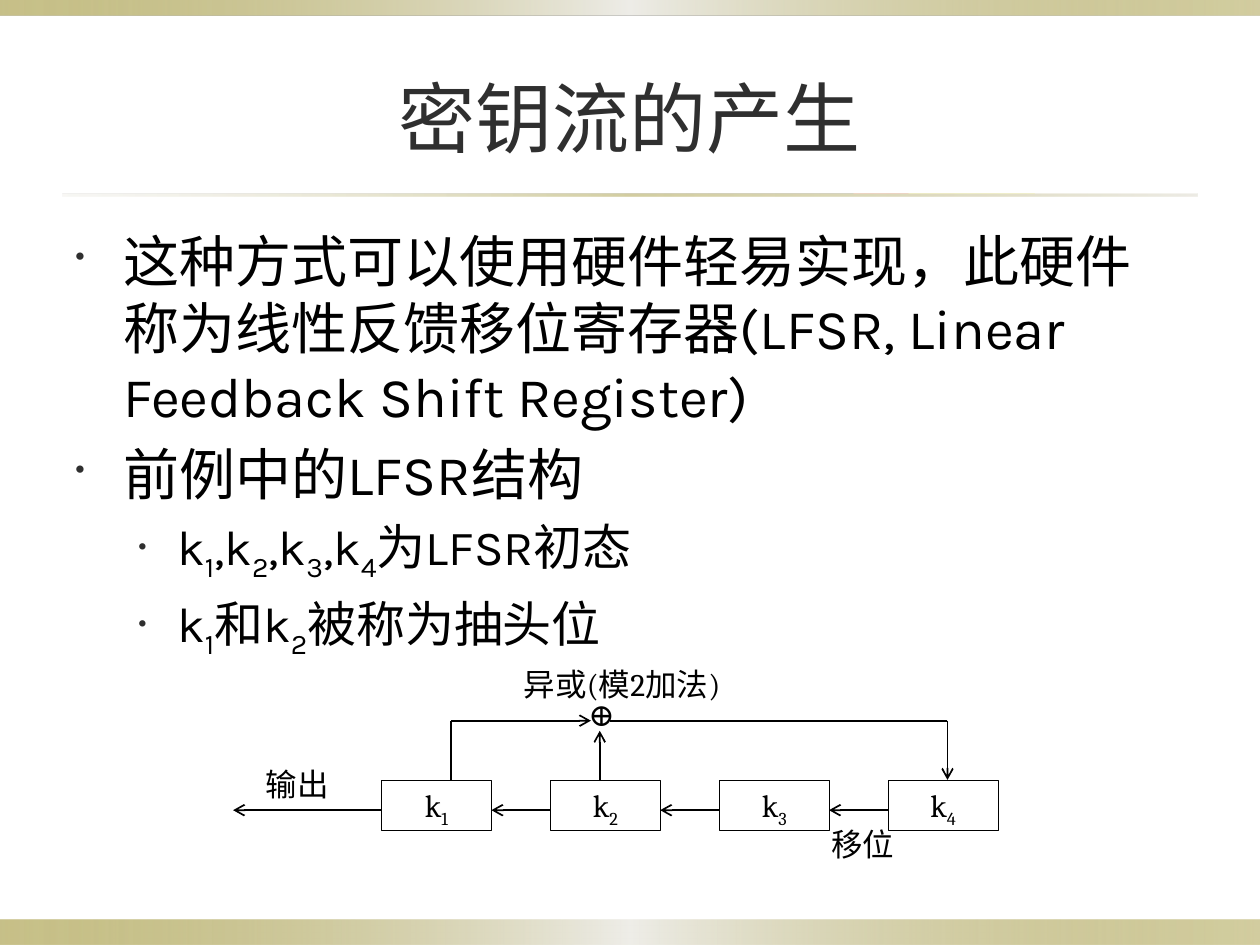
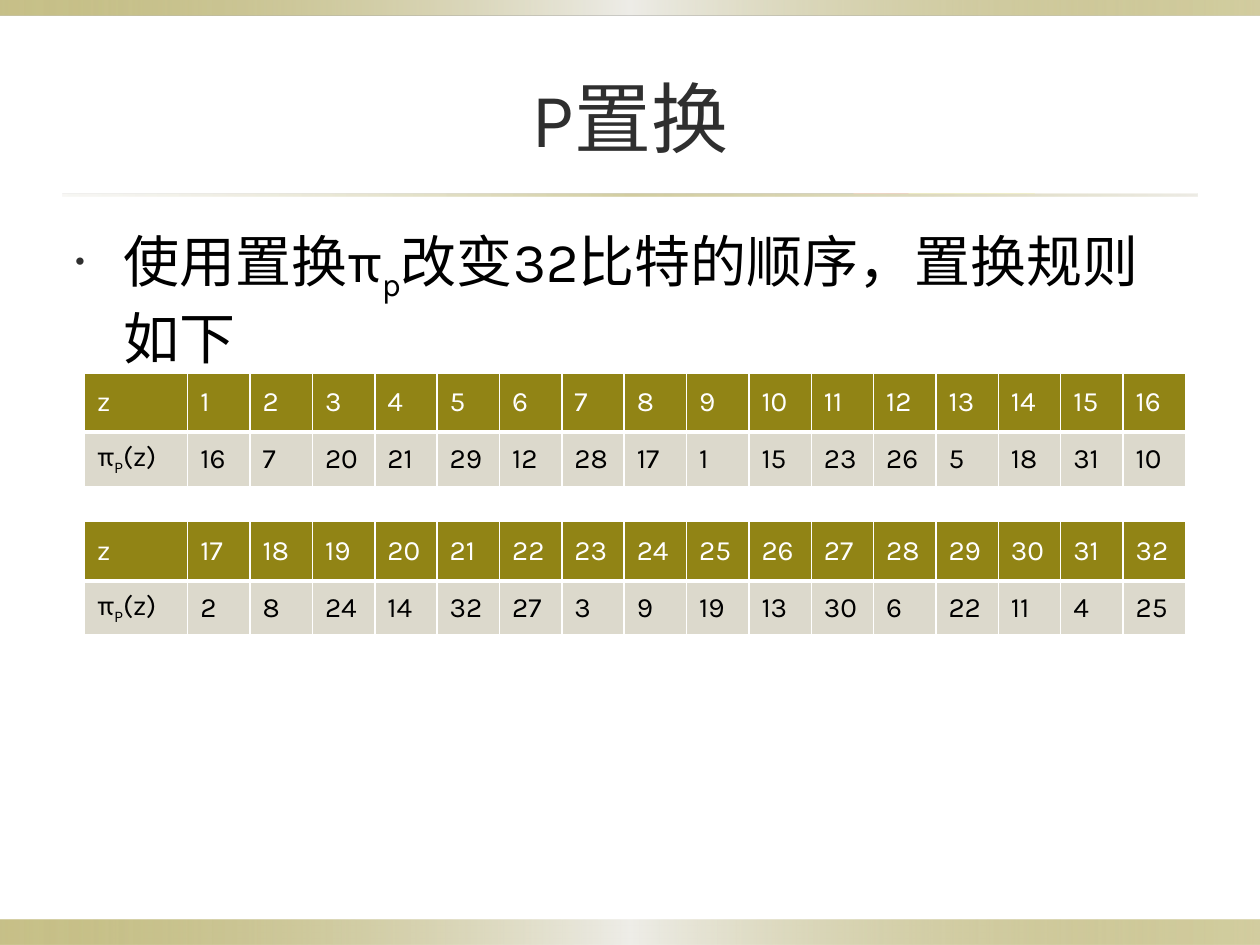
from lxml.etree import SubElement
from pptx import Presentation
from pptx.dml.color import RGBColor
from pptx.enum.lang import MSO_LANGUAGE_ID
from pptx.enum.shapes import MSO_CONNECTOR, MSO_SHAPE
from pptx.enum.text import MSO_ANCHOR, MSO_AUTO_SIZE, PP_ALIGN
from pptx.oxml.ns import qn
from pptx.util import Inches, Pt

BLACK, WHITE, DARK = "000000", "FFFFFF", "2F2F2F"
OLIVE, SAND, PALE = "918415", "DCD9CC", "EEEDE8"
TITLE_ONLY = 5

# Gradient stops: position, colour, opacity (all in percent)
BAND_STOPS = [(0, OLIVE, 50), (50, PALE, 100), (100, OLIVE, 40)]
RULE_STOPS = [(0, SAND, 20), (50, OLIVE, 40), (100, SAND, 50)]
# Text size, left margin and hanging indent of each bullet level
BULLET_LEVELS = [(32, 0.38, 0.38), (28, 0.81, 0.31)]


def rgb(value):
    return RGBColor.from_string(value)


def add_xml(parent, tag, **attributes):
    element = SubElement(parent, qn(tag))
    for name, value in attributes.items():
        element.set(name, str(value))
    return element


def add_xml_color(parent, color):
    return add_xml(parent, "a:srgbClr", val=color)


def box(left, top, width, height):
    return [Inches(value) for value in (left, top, width, height)]


class Deck:
    def __init__(self):
        self.presentation = Presentation()
        self.presentation.slide_width = Inches(10)
        self.presentation.slide_height = Inches(7.5)
        self.slide = None

    def add_slide(self, title):
        layout = self.presentation.slide_layouts[TITLE_ONLY]
        self.slide = self.presentation.slides.add_slide(layout)
        self.gradient_bar(0, 7.3, 10, 0.2, BAND_STOPS)
        self.gradient_bar(0, 0, 10, 0.12, BAND_STOPS)
        self.gradient_bar(0.5, 1.54, 9, 0.02, RULE_STOPS)
        shape = self.slide.shapes.title
        shape.left, shape.top, shape.width, shape.height = box(0.5, 0.3, 9, 1.25)
        frame = shape.text_frame
        frame.auto_size = MSO_AUTO_SIZE.NONE
        frame.vertical_anchor = MSO_ANCHOR.MIDDLE
        self.add_text(frame.paragraphs[0], title, 44, color=DARK, align=PP_ALIGN.CENTER)

    def add_text(self, paragraph, text, size, font="Karla", color=BLACK, align=PP_ALIGN.LEFT):
        """Add text in which the character after each "_" is a subscript."""
        paragraph.alignment = align
        first, *rest = text.split("_")
        pieces = [(first, False)]
        for part in rest:
            pieces += [(part[0], True), (part[1:], False)]
        style = {"name": font, "size": Pt(size), "bold": False,
                 "language_id": MSO_LANGUAGE_ID.SIMPLIFIED_CHINESE}
        for piece, is_subscript in pieces:
            if not piece:
                continue
            run = paragraph.add_run()
            run.text = piece
            for name, value in style.items():
                setattr(run.font, name, value)
            run.font.color.rgb = rgb(color)
            if is_subscript:
                run._r.get_or_add_rPr().set("baseline", "-25000")

    def gradient_bar(self, left, top, width, height, stops):
        shape = self.slide.shapes.add_shape(MSO_SHAPE.RECTANGLE, *box(left, top, width, height))
        shape.shadow.inherit = False
        shape.line.fill.background()
        shape.fill.gradient()
        shape.fill.gradient_angle = 0
        stop_list = shape._element.spPr.find(qn("a:gradFill")).find(qn("a:gsLst"))
        for stop in list(stop_list):
            stop_list.remove(stop)
        for position, color, opacity in stops:
            stop = add_xml(stop_list, "a:gs", pos=position * 1000)
            add_xml(add_xml_color(stop, color), "a:alpha", val=opacity * 1000)

    def bullets(self, height, items):
        frame = self.slide.shapes.add_textbox(*box(0.5, 1.75, 9, height)).text_frame
        frame.word_wrap = True
        for index, (level, text) in enumerate(items):
            paragraph = frame.add_paragraph() if index else frame.paragraphs[0]
            size, margin, hanging = BULLET_LEVELS[level]
            properties = paragraph._p.get_or_add_pPr()
            properties.set("marL", str(Inches(margin)))
            properties.set("indent", str(-Inches(hanging)))
            add_xml_color(add_xml(properties, "a:buClr"), DARK)
            add_xml(properties, "a:buSzPct", val=50000)
            add_xml(properties, "a:buChar", char="•")
            paragraph.level = level
            paragraph.space_before = Pt(size * 0.2 if index else 0)
            self.add_text(paragraph, text, size)

    def label(self, left, top, width, text, align=PP_ALIGN.LEFT):
        frame = self.slide.shapes.add_textbox(*box(left, top, width, 0.4)).text_frame
        frame.word_wrap = True
        self.add_text(frame.paragraphs[0], text, 18, "Cambria", align=align)

    def register(self, left, top, width, height, text):
        shape = self.slide.shapes.add_shape(MSO_SHAPE.RECTANGLE, *box(left, top, width, height))
        shape.shadow.inherit = False
        shape.fill.background()
        shape.line.color.rgb = rgb(BLACK)
        shape.line.width = Pt(0.25)
        shape.text_frame.vertical_anchor = MSO_ANCHOR.TOP
        self.add_text(shape.text_frame.paragraphs[0], text, 18, "Cambria", align=PP_ALIGN.CENTER)

    def line(self, start, end, arrow=True):
        points = [Inches(value) for value in (*start, *end)]
        connector = self.slide.shapes.add_connector(MSO_CONNECTOR.STRAIGHT, *points)
        connector.line.color.rgb = rgb(BLACK)
        connector.line.width = Pt(1)
        properties = connector._element.spPr
        if arrow:
            add_xml(properties.get_or_add_ln(), "a:tailEnd", type="arrow")
        add_xml(properties, "a:effectLst")

    def cell(self, cell, text, is_header):
        properties = cell._tc.get_or_add_tcPr()
        for side in "LRTB":
            width = 3 if is_header and side == "B" else 1
            border = add_xml(properties, f"a:ln{side}", w=Pt(width))
            add_xml_color(add_xml(border, "a:solidFill"), WHITE)
        cell.fill.solid()
        cell.fill.fore_color.rgb = rgb(OLIVE if is_header else SAND)
        cell.vertical_anchor = MSO_ANCHOR.MIDDLE
        self.add_text(cell.text_frame.paragraphs[0], text, 16, color=WHITE if is_header else BLACK)

    def permutation_table(self, top, first, images):
        rows = [["z", *range(first, first + len(images))], ["π_P(z)", *images]]
        width, head_width, row_heights = 8.74, 0.82, (0.47, 0.43)
        table = self.slide.shapes.add_table(
            len(rows), len(rows[0]), *box(0.67, top, width, sum(row_heights))).table
        for index, column in enumerate(table.columns):
            column.width = Inches((width - head_width) / len(images) if index else head_width)
        for row_index, values in enumerate(rows):
            table.rows[row_index].height = Inches(row_heights[row_index])
            for column_index, value in enumerate(values):
                self.cell(table.cell(row_index, column_index), str(value), row_index == 0)


def build_key_stream(deck):
    deck.add_slide("密钥流的产生")
    deck.bullets(5.13, [
        (0, "这种方式可以使用硬件轻易实现，此硬件称为线性反馈移位寄存器"
            "(LFSR, Linear Feedback Shift Register)"),
        (0, "前例中的LFSR结构"),
        (1, "k_1,k_2,k_3,k_4为LFSR初态"),
        (1, "k_1和k_2被称为抽头位"),
    ])

    # Registers, each shifting to its left neighbour
    first_left, pitch, width, top = 3.03, 1.34, 0.87, 6.19
    shift_y, feedback_y = 6.43, 5.72
    for index in range(4):
        left = first_left + index * pitch
        deck.register(left, top, width, 0.4, f"k_{index + 1}")
        target = left - pitch + width if index else 1.85
        deck.line((left, shift_y), (target, shift_y))

    # Feedback path through the adder
    tap_1, tap_2, feedback = 3.58, 4.76, 7.52
    deck.line((tap_1, top), (tap_1, feedback_y), arrow=False)
    deck.line((tap_1, feedback_y), (4.69, feedback_y))
    deck.line((tap_2, top), (tap_2, 5.8))
    deck.line((4.84, feedback_y), (feedback, feedback_y), arrow=False)
    deck.line((feedback, feedback_y), (feedback, top))
    deck.label(4.42, 5.47, 0.71, "⊕", PP_ALIGN.CENTER)

    # Labels
    deck.label(6.5, 6.5, 0.79, "移位")
    deck.label(2.01, 6.02, 0.94, "输出")
    deck.label(4.06, 5.23, 1.97, "异或(模2加法)")


def build_permutation(deck):
    deck.add_slide("P置换")
    deck.bullets(1.21, [(0, "使用置换π_p改变32比特的顺序，置换规则如下")])
    deck.permutation_table(
        2.96, 1, [16, 7, 20, 21, 29, 12, 28, 17, 1, 15, 23, 26, 5, 18, 31, 10])
    deck.permutation_table(
        4.14, 17, [2, 8, 24, 14, 32, 27, 3, 9, 19, 13, 30, 6, 22, 11, 4, 25])


def main():
    deck = Deck()
    build_key_stream(deck)
    build_permutation(deck)
    deck.presentation.save("out.pptx")


if __name__ == "__main__":
    main()
